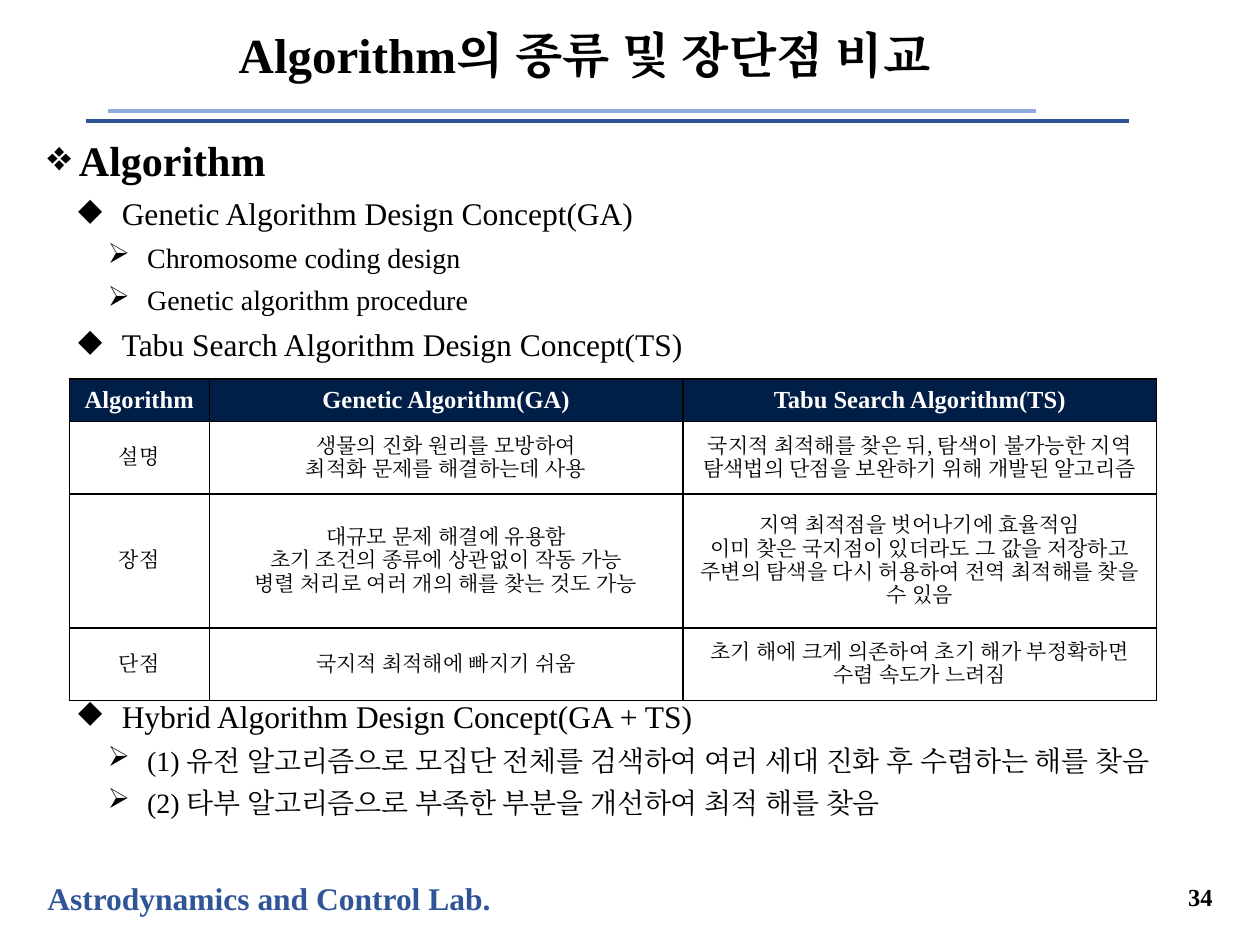
from lxml import etree
from pptx import Presentation
from pptx.dml import color
from pptx.enum import shapes, text
from pptx.oxml import ns
from pptx.util import Pt

FONT = "Times New Roman"
BLACK, WHITE, NAVY, BLUE, PALE = "000000", "FFFFFF", "001E46", "2F5597", "8FAADC"
MID, TOP = text.MSO_ANCHOR.MIDDLE, text.MSO_ANCHOR.TOP
LEFT, CENTER, RIGHT = text.PP_ALIGN.LEFT, text.PP_ALIGN.CENTER, text.PP_ALIGN.RIGHT

# Level: bullet, left margin, indent, size, bold, space before
LEVELS = [
    ("❖", 18, -28, 24, True, 10),
    ("◆", 42.5, -25, 18, False, 5),
    ("➢", 57, -22.5, 16, False, 5),
]
UPPER = [
    (0, "Algorithm"),
    (1, "Genetic Algorithm Design Concept(GA)"),
    (2, "Chromosome coding design"),
    (2, "Genetic algorithm procedure"),
    (1, "Tabu Search Algorithm Design Concept(TS)"),
]
LOWER = [
    (1, "Hybrid Algorithm Design Concept(GA + TS)"),
    (2, "(1) 유전 알고리즘으로 모집단 전체를 검색하여 여러 세대 진화 후 수렴하는 해를 찾음"),
    (2, "(2) 타부 알고리즘으로 부족한 부분을 개선하여 최적 해를 찾음"),
]
# Each cell is a list of paragraphs
ROWS = [
    [["Algorithm"], ["Genetic Algorithm(GA)"], ["Tabu Search Algorithm(TS)"]],
    [["설명"],
     ["생물의 진화 원리를 모방하여", "최적화 문제를 해결하는데 사용"],
     ["국지적 최적해를 찾은 뒤, 탐색이 불가능한 지역 탐색법의 단점을 보완하기 위해 개발된 알고리즘"]],
    [["장점"],
     ["대규모 문제 해결에 유용함", "초기 조건의 종류에 상관없이 작동 가능",
      "병렬 처리로 여러 개의 해를 찾는 것도 가능"],
     ["지역 최적점을 벗어나기에 효율적임",
      "이미 찾은 국지점이 있더라도 그 값을 저장하고 주변의 탐색을 다시 허용하여 전역 최적해를 찾을 수 있음"]],
    [["단점"],
     ["국지적 최적해에 빠지기 쉬움"],
     ["초기 해에 크게 의존하여 초기 해가 부정확하면 수렴 속도가 느려짐"]],
]
WIDTHS = [80, 270.7, 270.7]
HEIGHTS = [23, 41.5, 76.5, 41.5]


def rgb(code):
    return color.RGBColor.from_string(code)


def sub(parent, tag, **attrs):
    return etree.SubElement(parent, ns.qn(tag), attrs)


def add_run(para, words, size, bold, tint):
    run = para.add_run()
    run.text = words
    font = run.font
    font.name, font.size, font.bold = FONT, Pt(size), bold
    font.color.rgb = rgb(tint)
    sub(run._r.get_or_add_rPr(), "a:ea", typeface=FONT)


def next_para(frame, index):
    return frame.add_paragraph() if index else frame.paragraphs[0]


def add_box(slide, x, y, w, h, anchor=TOP, wrap=True):
    frame = slide.shapes.add_textbox(Pt(x), Pt(y), Pt(w), Pt(h)).text_frame
    frame.word_wrap, frame.vertical_anchor = wrap, anchor
    return frame


def add_label(slide, area, words, size, tint, align, anchor=MID, wrap=True):
    para = add_box(slide, *area, anchor, wrap).paragraphs[0]
    para.alignment = align
    add_run(para, words, size, True, tint)
    return para


def add_list(slide, area, items):
    frame = add_box(slide, *area)
    for i, (level, words) in enumerate(items):
        mark, margin, indent, size, bold, gap = LEVELS[level]
        para = next_para(frame, i)
        props = para._p.get_or_add_pPr()
        props.set("marL", str(Pt(margin)))
        props.set("indent", str(Pt(indent)))
        sub(props, "a:buChar", char=mark)
        para.level = level
        if i:
            para.space_before = Pt(gap)
        add_run(para, words, size, bold, BLACK)


def add_rule(slide, x1, x2, y, tint):
    line = slide.shapes.add_connector(
        shapes.MSO_CONNECTOR.STRAIGHT, Pt(x1), Pt(y), Pt(x2), Pt(y))
    line.line.color.rgb = rgb(tint)
    line.line.width = Pt(2.25)
    sub(line._element.spPr, "a:effectLst")


def add_edges(cell):
    props = cell._tc.get_or_add_tcPr()
    for side in "LRTB":
        edge = sub(props, "a:ln" + side, w=str(Pt(1)))
        sub(sub(edge, "a:solidFill"), "a:srgbClr", val=BLACK)


def fill_cell(cell, lines, head):
    add_edges(cell)
    cell.fill.solid()
    cell.fill.fore_color.rgb = rgb(NAVY if head else WHITE)
    cell.vertical_anchor = MID
    for i, words in enumerate(lines):
        para = next_para(cell.text_frame, i)
        para.alignment = CENTER
        add_run(para, words, 14 if head else 12, head, WHITE if head else BLACK)


def add_grid(slide, x, y):
    grid = slide.shapes.add_table(
        len(ROWS), len(WIDTHS), Pt(x), Pt(y),
        Pt(sum(WIDTHS)), Pt(sum(HEIGHTS))).table
    for col, width in zip(grid.columns, WIDTHS):
        col.width = Pt(width)
    for r, (row, height) in enumerate(zip(ROWS, HEIGHTS)):
        grid.rows[r].height = Pt(height)
        for c, lines in enumerate(row):
            fill_cell(grid.cell(r, c), lines, r == 0)


def main():
    deck = Presentation()
    deck.slide_width, deck.slide_height = Pt(720), Pt(540)
    slide = deck.slides.add_slide(deck.slide_layouts[6])

    # Title and the two rules below it
    title = add_label(slide, (70, 6, 528, 54), "Algorithm의 종류 및 장단점 비교",
                      28, BLACK, CENTER)
    title.line_spacing = 0.9
    add_rule(slide, 49, 645, 69.3, BLUE)
    add_rule(slide, 61.5, 592, 63.5, PALE)

    # Lists above and below the table
    add_list(slide, (20, 73.5, 680, 140), UPPER)
    add_list(slide, (20, 394.5, 680, 90), LOWER)
    add_grid(slide, 39.6, 216.7)

    # Footer
    add_label(slide, (20, 498.5, 271, 29), "Astrodynamics and Control Lab.",
              18, BLUE, LEFT, TOP, False)
    add_label(slide, (623, 498.5, 77, 28), "34", 14, BLACK, RIGHT)

    deck.save("out.pptx")


if __name__ == "__main__":
    main()
